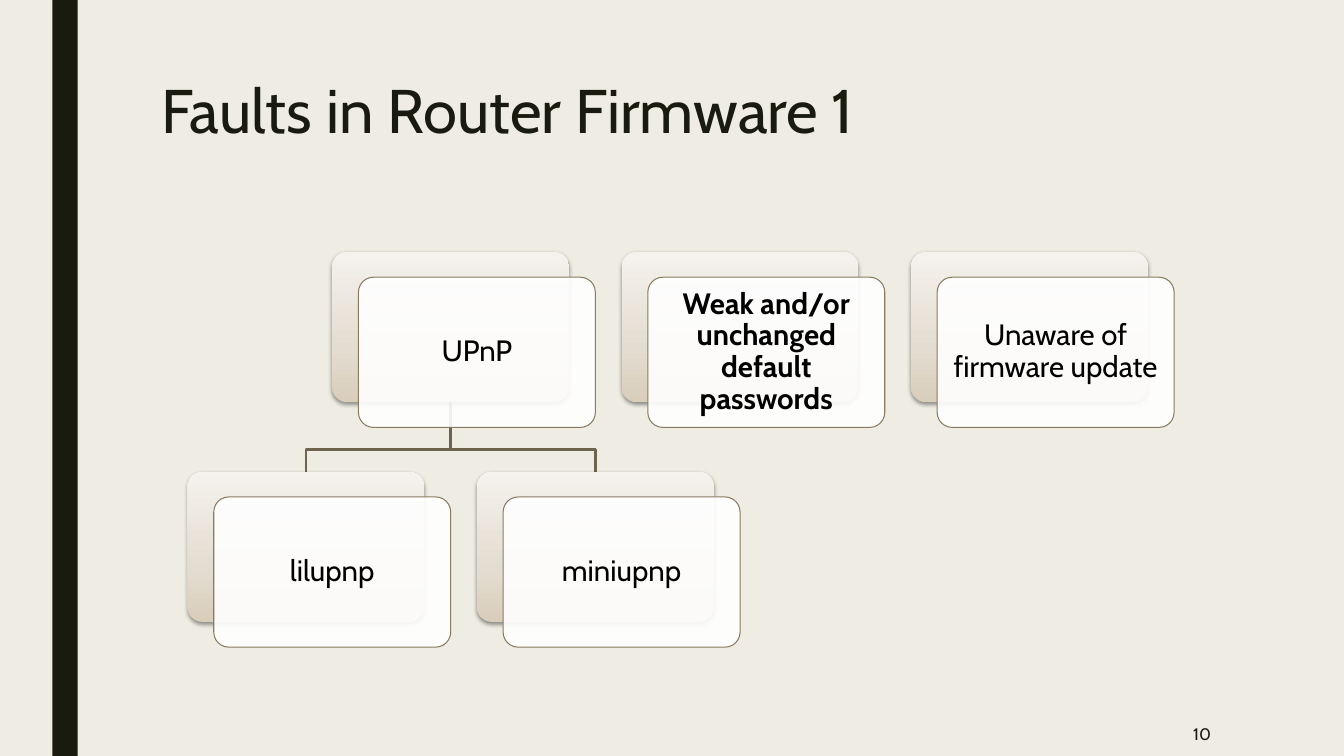
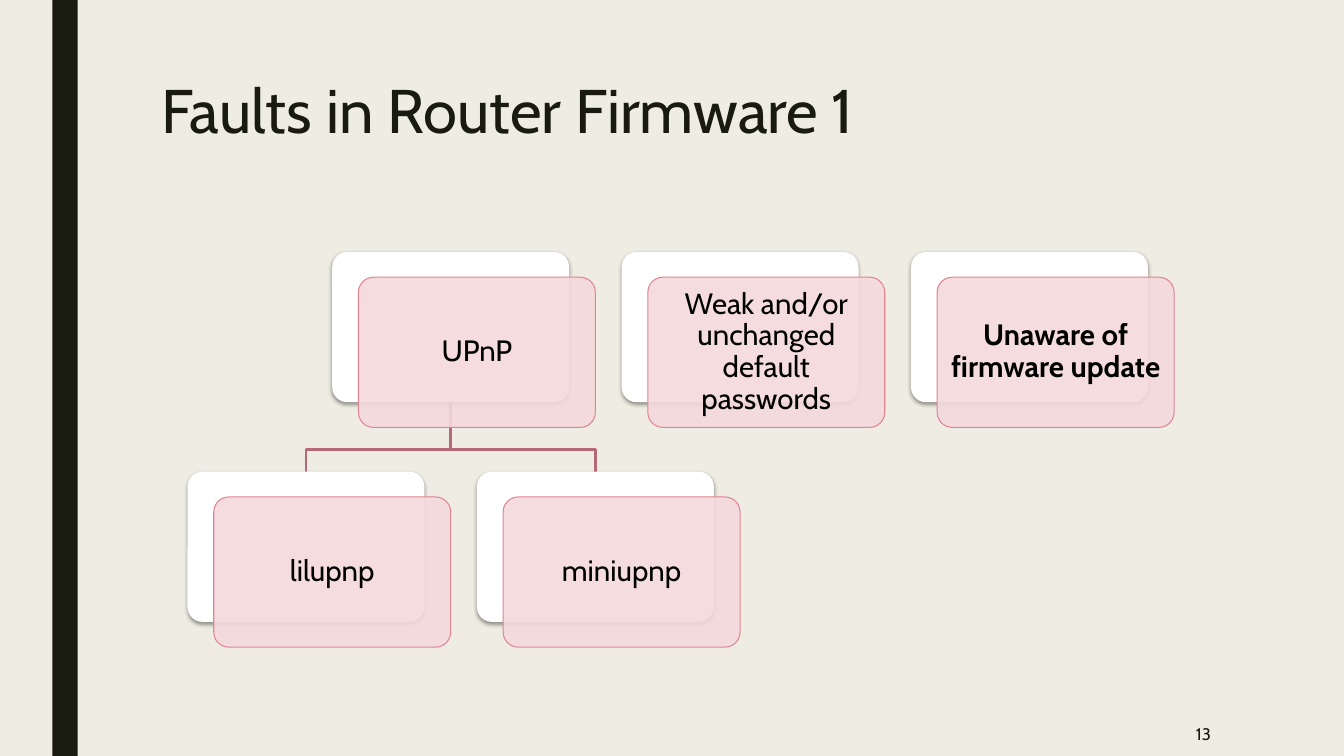
from dataclasses import dataclass

from lxml import etree
from pptx import Presentation
from pptx.dml.color import RGBColor
from pptx.enum.shapes import MSO_SHAPE
from pptx.enum.text import MSO_ANCHOR, PP_ALIGN
from pptx.oxml.ns import qn
from pptx.util import Inches, Pt

RECT, ROUNDED = MSO_SHAPE.RECTANGLE, MSO_SHAPE.ROUNDED_RECTANGLE
TOP, MIDDLE = MSO_ANCHOR.TOP, MSO_ANCHOR.MIDDLE
LEFT, CENTER, RIGHT = PP_ALIGN.LEFT, PP_ALIGN.CENTER, PP_ALIGN.RIGHT

TITLE = "Faults in Router Firmware 1"
PASSWORDS = "Weak and/or unchanged default passwords"
UPDATES = "Unaware of firmware update"
FAULTS = [
    ("UPnP", 0.5, 0),
    ("lilupnp", 0, 1),
    ("miniupnp", 1, 1),
    (PASSWORDS, 1.5, 0),
    (UPDATES, 2.5, 0),
]
BRANCHES = [("UPnP", "miniupnp"), ("UPnP", "lilupnp")]
SLIDES = [
    {"page": "10", "emphasis": PASSWORDS, "branch": "6E634E",
     "back": [(0, "D9CDBB"), (35, "E3DCD0"), (100, "F5F2ED")],
     "front": "FFFFFF", "outline": "897B61"},
    {"page": "13", "emphasis": UPDATES, "branch": "B56977",
     "back": [(0, "FFFFFF")],
     "front": "F4D9DC", "outline": "E28394"},
]


@dataclass(frozen=True)
class Theme:
    font: str = "Cabin"
    background: str = "EFEDE3"
    dark: str = "191B0E"
    card_text: str = "000000"
    title_size: int = 44
    card_size: int = 21
    page_size: int = 12


THEME = Theme()
CARD_W, CARD_H = 2.35, 1.49
FIRST_X, FIRST_Y = 1.86, 2.5
PITCH_X, PITCH_Y = 2.87, 2.18
SHIFT_X, SHIFT_Y = 0.26, 0.25
BEND = 0.47


def rgb(color):
    return RGBColor.from_string(color)


def write(shape, text, size, color=THEME.dark, bold=False, align=LEFT, anchor=TOP,
          spacing=1.0, after=0, inset=None):
    frame = shape.text_frame
    frame.word_wrap = True
    frame.vertical_anchor = anchor
    if inset is not None:
        frame.margin_left = frame.margin_right = Inches(inset)
        frame.margin_top = frame.margin_bottom = Inches(inset)
    paragraph = frame.paragraphs[0]
    paragraph.alignment = align
    paragraph.line_spacing = spacing
    paragraph.space_after = Pt(after)
    run = paragraph.add_run()
    run.text = text
    run.font.name = THEME.font
    run.font.size = Pt(size)
    run.font.bold = bold
    run.font.color.rgb = rgb(color)


def add_box(slide, kind, left, top, width, height, fill, outline=None):
    box = slide.shapes.add_shape(
        kind, Inches(left), Inches(top), Inches(width), Inches(height))
    box.shadow.inherit = False
    box.fill.solid()
    box.fill.fore_color.rgb = rgb(fill)
    if outline:
        box.line.color.rgb = rgb(outline)
        box.line.width = Pt(0.75)
    else:
        box.line.fill.background()
    if kind == ROUNDED:
        box.adjustments[0] = 0.1
    return box


def set_alpha(color_element, percent):
    etree.SubElement(color_element, qn("a:alpha"), val=str(percent * 1000))


def set_gradient(box, stops):
    box.fill.gradient()
    box.fill.gradient_angle = 90
    stop_list = box.element.spPr.find(".//" + qn("a:gsLst"))
    for old_stop in list(stop_list):
        stop_list.remove(old_stop)
    for position, color in stops:
        stop = etree.SubElement(stop_list, qn("a:gs"), pos=str(position * 1000))
        etree.SubElement(stop, qn("a:srgbClr"), val=color)


def add_shadow(box):
    effects = box.element.spPr.find(qn("a:effectLst"))
    shadow = etree.SubElement(
        effects, qn("a:outerShdw"), blurRad=str(Pt(3.1)), dist=str(Pt(1.6)),
        dir="5400000", algn="ctr", rotWithShape="0")
    set_alpha(etree.SubElement(shadow, qn("a:srgbClr"), val="000000"), 38)


def card_corner(column, row):
    return FIRST_X + PITCH_X * column, FIRST_Y + PITCH_Y * row


def add_branch(slide, parent, child, color):
    parent_x, parent_y = card_corner(*parent)
    child_x, child_y = card_corner(*child)
    start_x, end_x = parent_x + CARD_W / 2, child_x + CARD_W / 2
    start_y = parent_y + CARD_H
    points = [(start_x, start_y), (start_x, start_y + BEND),
              (end_x, start_y + BEND), (end_x, child_y)]
    corners = [(Inches(x), Inches(y)) for x, y in points]
    builder = slide.shapes.build_freeform(*corners[0])
    builder.add_line_segments(corners[1:], close=False)
    branch = builder.convert_to_shape()
    branch.shadow.inherit = False
    branch.fill.background()
    branch.line.color.rgb = rgb(color)
    branch.line.width = Pt(2)


def add_card(slide, text, column, row, look):
    left, top = card_corner(column, row)
    stops = look["back"]
    back = add_box(slide, ROUNDED, left, top, CARD_W, CARD_H, stops[0][1])
    if len(stops) > 1:
        set_gradient(back, stops)
    add_shadow(back)
    front = add_box(slide, ROUNDED, left + SHIFT_X, top + SHIFT_Y, CARD_W, CARD_H,
                    look["front"], look["outline"])
    set_alpha(front.element.spPr.find(qn("a:solidFill") + "/" + qn("a:srgbClr")), 90)
    write(front, text, THEME.card_size, color=THEME.card_text,
          bold=text == look["emphasis"], align=CENTER, anchor=MIDDLE,
          spacing=0.9, inset=0.09)


def add_frame(slide, page):
    add_box(slide, RECT, 0.52, 0, 0.25, 7.5, THEME.dark)
    title = slide.shapes.add_textbox(Inches(1.5), Inches(0.75), Inches(10.5), Inches(1.62))
    write(title, TITLE, THEME.title_size, spacing=0.89)
    number = slide.shapes.add_textbox(
        Inches(10.36), Inches(7.06), Inches(1.75), Inches(0.44))
    write(number, page, THEME.page_size, align=RIGHT, anchor=MIDDLE, after=6)


def main():
    deck = Presentation()
    deck.slide_width, deck.slide_height = Inches(13.33), Inches(7.5)
    background = deck.slide_master.background.fill
    background.solid()
    background.fore_color.rgb = rgb(THEME.background)
    places = {text: (column, row) for text, column, row in FAULTS}
    for look in SLIDES:
        slide = deck.slides.add_slide(deck.slide_layouts[6])
        add_frame(slide, look["page"])
        for parent, child in BRANCHES:
            add_branch(slide, places[parent], places[child], look["branch"])
        for text, column, row in FAULTS:
            add_card(slide, text, column, row, look)
    deck.save("out.pptx")


if __name__ == "__main__":
    main()
